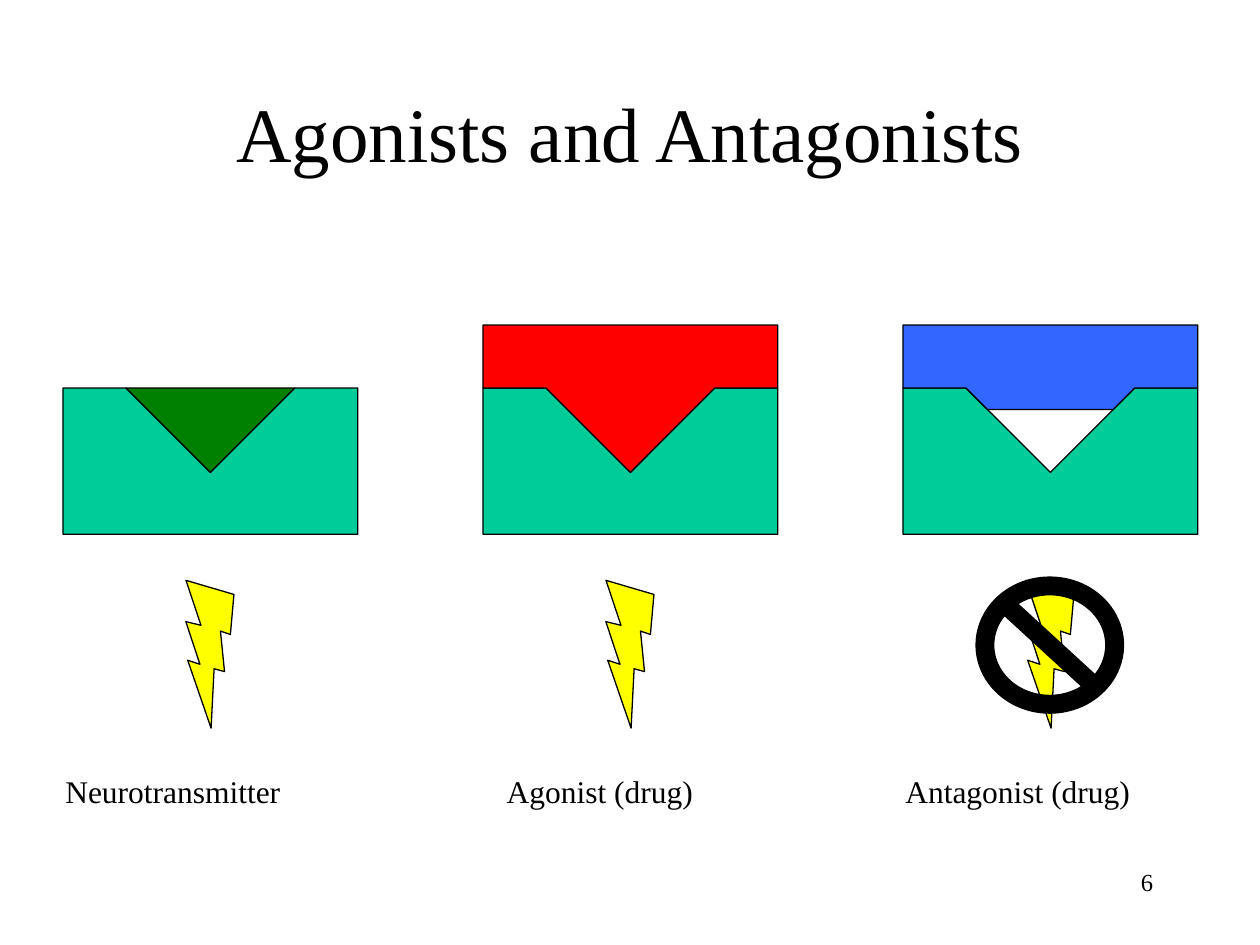
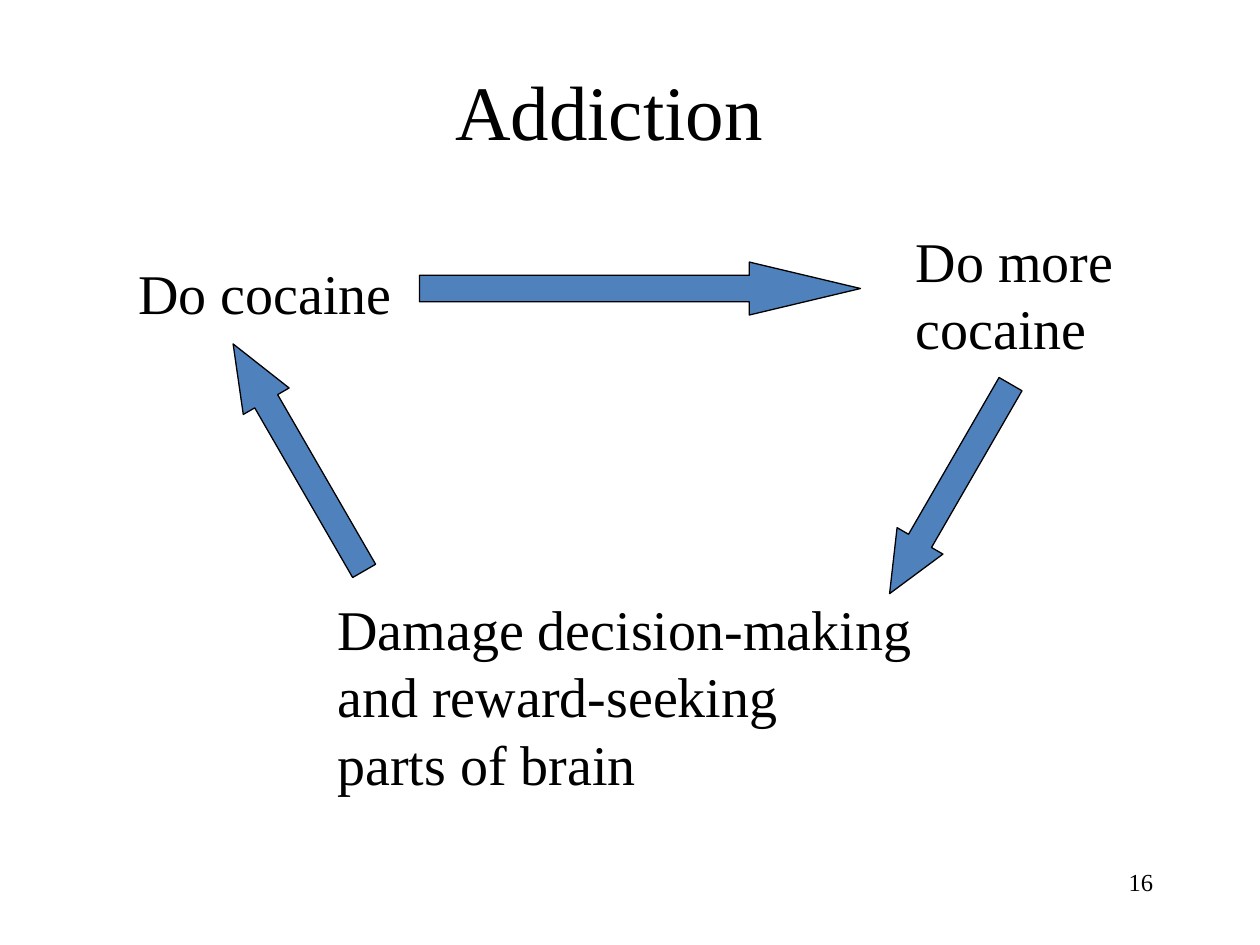
from dataclasses import dataclass

from pptx import Presentation
from pptx.dml.color import RGBColor
from pptx.enum.shapes import MSO_SHAPE
from pptx.enum.text import MSO_ANCHOR, MSO_AUTO_SIZE, PP_ALIGN
from pptx.util import Inches, Pt

BOLT = MSO_SHAPE.LIGHTNING_BOLT
NO_SIGN = MSO_SHAPE.NO_SYMBOL
ARROW = MSO_SHAPE.RIGHT_ARROW
LEFT, CENTER, RIGHT = PP_ALIGN.LEFT, PP_ALIGN.CENTER, PP_ALIGN.RIGHT
TOP, MIDDLE = MSO_ANCHOR.TOP, MSO_ANCHOR.MIDDLE
FIT_SHAPE = MSO_AUTO_SIZE.SHAPE_TO_FIT_TEXT
TITLE_ONLY = 5


@dataclass(frozen=True)
class Theme:
    font: str = "Times New Roman"
    ink: str = "000000"
    receptor: str = "00CC99"
    transmitter: str = "008000"
    agonist: str = "FF0000"
    antagonist: str = "3366FF"
    signal: str = "FFFF00"
    arrow: str = "4F81BD"
    title_size: int = 44
    step_size: int = 32
    label_size: int = 18
    number_size: int = 14
    leading: float = 1.2
    line: float = 0.75


THEME = Theme()
NUMBER_BOX = (7.17, 6.83, 2.08, 0.5)
RECEPTOR_W = 2.34
RECEPTOR_TOP = 3.08
RECEPTOR_H = 1.16
CAP_H = 0.5
NOTCH_LEFT, NOTCH_MID, NOTCH_RIGHT = 0.5, 1.17, 1.84
NOTCH_DEPTH = 0.67
PLUG_DEPTH = 0.17
COLUMN_LEFT = 0.5
COLUMN_PITCH = 10 / 3


def write_text(tf, text, size, align=LEFT, anchor=TOP, wrap=True):
    tf.word_wrap = wrap
    tf.vertical_anchor = anchor
    tf.text = text
    for p in tf.paragraphs:
        p.alignment = align
        p.line_spacing = Pt(size * THEME.leading)
        p.space_before = Pt(0)
        for r in p.runs:
            r.font.name = THEME.font
            r.font.size = Pt(size)
            r.font.color.rgb = RGBColor.from_string(THEME.ink)


def add_text(s, box, text, size, **fmt):
    tb = s.shapes.add_textbox(*map(Inches, box))
    write_text(tb.text_frame, text, size, **fmt)
    return tb


def add_label(s, box, text, size):
    tb = add_text(s, box, text, size, wrap=False)
    tb.text_frame.auto_size = FIT_SHAPE


def paint(sp, color):
    sp.shadow.inherit = False
    sp.fill.solid()
    sp.fill.fore_color.rgb = RGBColor.from_string(color)
    sp.line.color.rgb = RGBColor.from_string(THEME.ink)
    sp.line.width = Pt(THEME.line)


def add_preset(shapes, kind, box, color, rotation=0, adjustments=()):
    sp = shapes.add_shape(kind, *map(Inches, box))
    sp.rotation = rotation
    for i, value in enumerate(adjustments):
        sp.adjustments[i] = value
    paint(sp, color)


def add_outline(s, left, top, points, color):
    placed = [(Inches(left + x), Inches(top + y)) for x, y in points]
    builder = s.shapes.build_freeform(*placed[0])
    builder.add_line_segments(placed[1:], close=True)
    paint(builder.convert_to_shape(), color)


def add_base(prs, title, title_box, number):
    s = prs.slides.add_slide(prs.slide_layouts[TITLE_ONLY])
    sp = s.shapes.title
    sp.left, sp.top, sp.width, sp.height = map(Inches, title_box)
    write_text(sp.text_frame, title, THEME.title_size, align=CENTER, anchor=MIDDLE)
    add_text(s, NUMBER_BOX, str(number), THEME.number_size, align=RIGHT)
    return s


def add_receptor(s, left, ligand, color):
    notch = [(NOTCH_LEFT, 0), (NOTCH_MID, NOTCH_DEPTH), (NOTCH_RIGHT, 0)]
    cap = [(RECEPTOR_W, 0), (RECEPTOR_W, -CAP_H), (0, -CAP_H), (0, 0)]
    plug = [
        (NOTCH_LEFT, 0),
        (NOTCH_LEFT + PLUG_DEPTH, PLUG_DEPTH),
        (NOTCH_RIGHT - PLUG_DEPTH, PLUG_DEPTH),
        (NOTCH_RIGHT, 0),
    ]
    ligands = {"transmitter": notch, "agonist": notch + cap, "antagonist": plug + cap}
    body = [(0, RECEPTOR_H), (0, 0), *notch, (RECEPTOR_W, 0), (RECEPTOR_W, RECEPTOR_H)]
    add_outline(s, left, RECEPTOR_TOP, body, THEME.receptor)
    add_outline(s, left, RECEPTOR_TOP, ligands[ligand], color)


def add_signal(s, left, blocked):
    shapes = s.shapes.add_group_shape().shapes if blocked else s.shapes
    add_preset(shapes, BOLT, (left + 0.67, 4.67, 0.92, 0.92), THEME.signal, rotation=41)
    if blocked:
        sign_box = (left + 0.58, 4.58, 1.17, 1.08)
        add_preset(shapes, NO_SIGN, sign_box, THEME.ink, adjustments=[0.13])


def build_agonists(prs):
    s = add_base(prs, "Agonists and Antagonists", (0.75, 0.42, 8.5, 1.25), 6)
    columns = [
        ("transmitter", THEME.transmitter, "Neurotransmitter", -0.08, 2.48),
        ("agonist", THEME.agonist, "Agonist (drug)", 0.09, 2.17),
        ("antagonist", THEME.antagonist, "Antagonist (drug)", -0.08, 2.58),
    ]
    for i, (ligand, color, label, shift, width) in enumerate(columns):
        left = COLUMN_LEFT + i * COLUMN_PITCH
        add_receptor(s, left, ligand, color)
        add_signal(s, left, blocked=ligand == "antagonist")
        add_label(s, (left + shift, 6.08, width, 0.5), label, THEME.label_size)


def build_addiction(prs):
    s = add_base(prs, "Addiction", (3, 0.33, 3.67, 1.08), 16)
    steps = [
        ("Do cocaine", (1, 2, 2.22, 0.63)),
        ("Do more\ncocaine", (7.17, 1.75, 1.77, 1.17)),
        (
            "Damage decision-making\nand reward-seeking\nparts of brain",
            (2.58, 4.67, 4.76, 1.7),
        ),
    ]
    for text, box in steps:
        add_label(s, box, text, THEME.step_size)
    arrows = [
        ((3.33, 2.08, 3.5, 0.42), 0, 2.1),
        ((1.33, 3.42, 2.08, 0.42), 240, 1.25),
        ((6.58, 3.67, 1.92, 0.42), 120, 1.15),
    ]
    for box, rotation, head in arrows:
        add_preset(s.shapes, ARROW, box, THEME.arrow, rotation, [0.5, head])


def main():
    prs = Presentation()
    prs.slide_width = Inches(10)
    prs.slide_height = Inches(7.5)
    build_agonists(prs)
    build_addiction(prs)
    prs.save("out.pptx")


if __name__ == "__main__":
    main()
